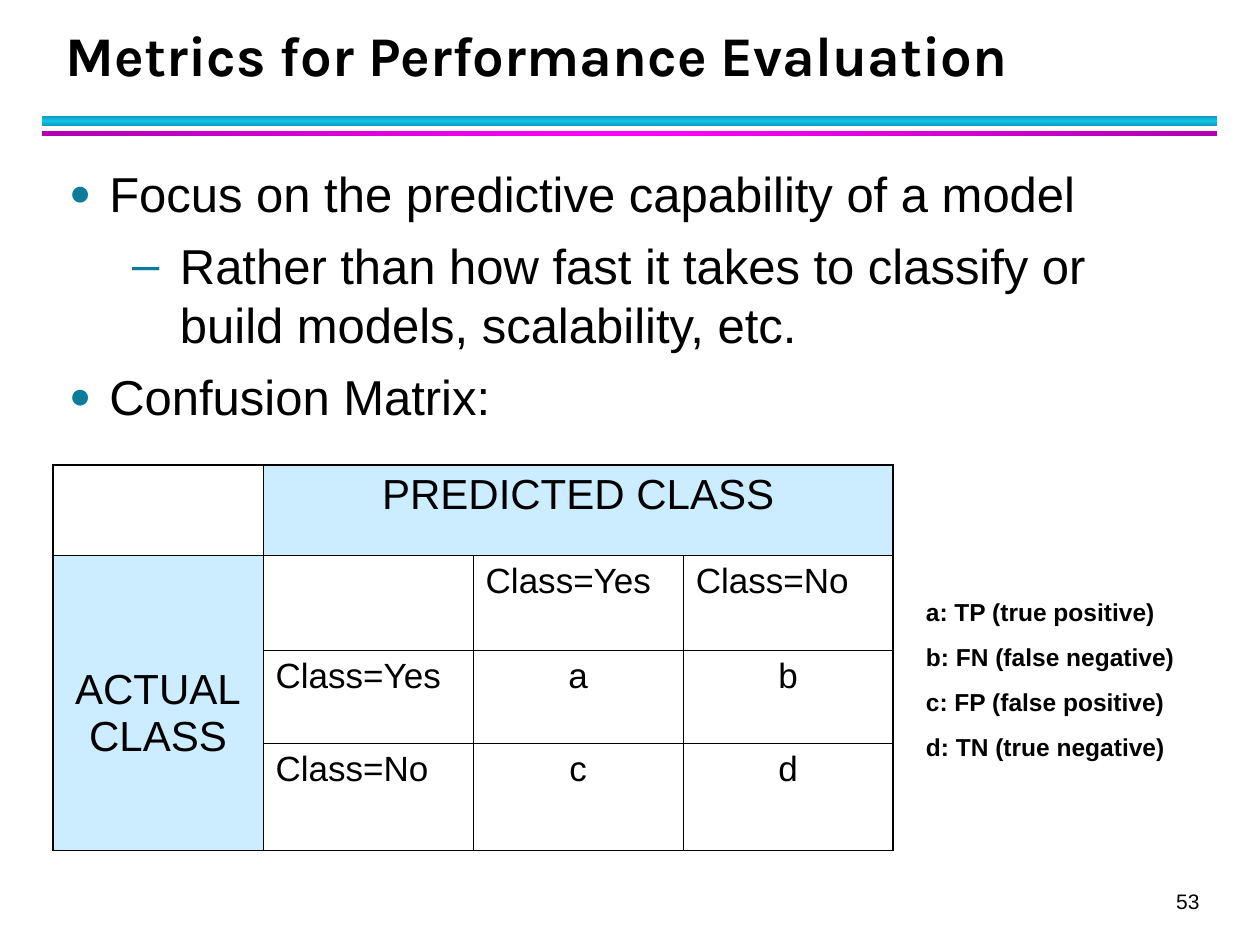
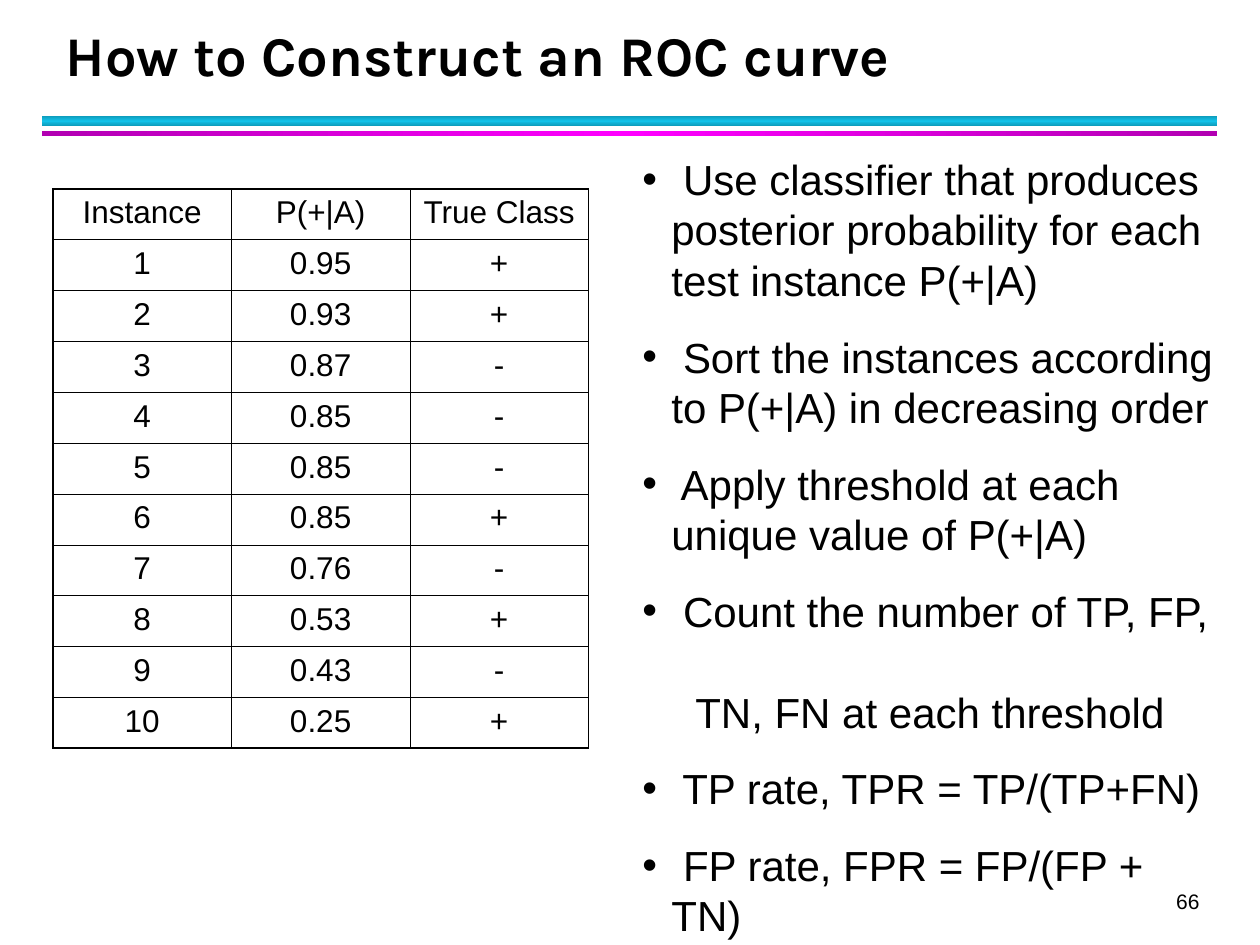
from copy import deepcopy

from lxml import etree
from pptx import Presentation
from pptx.dml.color import RGBColor
from pptx.enum import shapes, text
from pptx.oxml import ns
from pptx.util import Inches, Pt

BLACK, TEAL, PALE_BLUE = "000000", "0C7B9C", "CCECFF"
BANDS = [
    ((0.33, 0.92, 9.33, 0.08), ("0E9BBA", "12C2E9"), 90),
    ((0.33, 1.04, 9.33, 0.04), ("B200B2", "FF00FF"), 0),
]
LEFT, CENTER, RIGHT = text.PP_ALIGN.LEFT, text.PP_ALIGN.CENTER, text.PP_ALIGN.RIGHT
OUTER_LINE, INNER_LINE = 1.08, 0.45

DISC = {"char": "●", "color": TEAL, "size": 75, "left": 0.32, "hang": 0.32}
DASH = {"char": "–", "color": TEAL, "size": 100, "left": 0.88, "hang": 0.38}
DOT = {"char": "•", "color": BLACK, "size": 100, "left": 0.23, "hang": 0.23}
CONTINUED = {"left": 0.42, "hang": 0}

FOCUS_POINTS = [
    ("Focus on the predictive capability of a model", DISC),
    ("Rather than how fast it takes to classify or build models, scalability, etc.", DASH),
    ("Confusion Matrix:", DISC),
]
CONFUSION = [
    ["", "PREDICTED CLASS", "", ""],
    ["ACTUAL\vCLASS", "", "Class=Yes", "Class=No"],
    ["", "Class=Yes", "a", "b"],
    ["", "Class=No", "c", "d"],
]
LEGEND = [
    "a: TP (true positive)",
    "b: FN (false negative)",
    "c: FP (false positive)",
    "d: TN (true negative)",
]
PROBABILITIES = ["0.95", "0.93", "0.87", "0.85", "0.85", "0.85", "0.76", "0.53", "0.43", "0.25"]
TRUE_CLASSES = "++---+-+-+"
ROC_STEPS = [
    (" Use classifier that produces posterior probability for each test instance P(+|A)", DOT),
    (" Sort the instances according to P(+|A) in decreasing order", DOT),
    (" Apply threshold at each unique value of P(+|A)", DOT),
    (" Count the number of TP, FP,", DOT),
    ("TN, FN at each threshold", CONTINUED),
    (" TP rate, TPR = TP/(TP+FN)", DOT),
    (" FP rate, FPR = FP/(FP + TN)", DOT),
]


def rgb(color):
    """Turn a hex string into a colour."""
    return RGBColor.from_string(color)


def apply(target, values):
    """Set each attribute named in a dict of format values."""
    for name, value in values.items():
        setattr(target, name, value)


def add_element(parent, tag, **attributes):
    """Append a drawing element and return it."""
    return etree.SubElement(parent, ns.qn(tag), attributes)


def style_font(font, size, bold=False, name="Arial"):
    """Give a font its face, size and black colour."""
    apply(font, {"name": name, "size": Pt(size), "bold": bold})
    font.color.rgb = rgb(BLACK)


def set_bullet(paragraph, bullet):
    """Indent a paragraph and give it its bullet character, if any."""
    properties = paragraph._p.get_or_add_pPr()
    properties.set("marL", str(Inches(bullet["left"])))
    properties.set("indent", str(-Inches(bullet["hang"])))
    if "char" not in bullet:
        add_element(properties, "a:buNone")
        return
    add_element(add_element(properties, "a:buClr"), "a:srgbClr", val=bullet["color"])
    add_element(properties, "a:buSzPct", val=str(bullet["size"] * 1000))
    add_element(properties, "a:buFont", typeface="Arial")
    add_element(properties, "a:buChar", char=bullet["char"])


def add_lines(slide, at, lines, size, before=0, after=0, bold=False):
    """Add a text box with one paragraph for each (wording, bullet) pair."""
    frame = slide.shapes.add_textbox(*map(Inches, at)).text_frame
    frame.word_wrap = True
    for index, (wording, bullet) in enumerate(lines):
        paragraph = frame.paragraphs[0] if index == 0 else frame.add_paragraph()
        paragraph.text = wording
        if bullet:
            set_bullet(paragraph, bullet)
        gap = 29 if bullet is CONTINUED else before
        apply(paragraph, {
            "line_spacing": Pt(1.2 * size),
            "space_before": Pt(gap if index else 0),
            "space_after": Pt(after),
        })
        style_font(paragraph.font, size, bold)
    return frame


def add_band(slide, at, colors, angle):
    """Add a band that shades from the first colour to the second and back."""
    band = slide.shapes.add_shape(shapes.MSO_SHAPE.RECTANGLE, *map(Inches, at))
    band.shadow.inherit = False
    band.line.fill.background()
    band.fill.gradient()
    band.fill.gradient_angle = angle
    for stop, color, position in zip(band.fill.gradient_stops, colors, (0, 0.5)):
        stop.color.rgb = rgb(color)
        stop.position = position
    stops = band._element.spPr.find(".//" + ns.qn("a:gsLst"))
    last_stop = deepcopy(stops[0])
    last_stop.set("pos", "100000")
    stops.append(last_stop)


def add_titled_slide(deck, heading, number):
    """Add a slide with its bands, title and page number."""
    slide = deck.slides.add_slide(deck.slide_layouts[5])
    for band in BANDS:
        add_band(slide, *band)
    title = slide.shapes.title
    apply(title, dict(zip(("left", "top", "width", "height"),
                          map(Inches, (0.42, 0.17, 9.06, 0.58)))))
    title.text = heading
    apply(title.text_frame, {
        "vertical_anchor": text.MSO_ANCHOR.BOTTOM,
        "auto_size": text.MSO_AUTO_SIZE.NONE,
        "word_wrap": True,
    })
    paragraph = title.text_frame.paragraphs[0]
    apply(paragraph, {"alignment": LEFT, "line_spacing": Pt(36)})
    style_font(paragraph.font, 32, True, "Karla")

    footer = add_lines(slide, (0.42, 6.97, 9.1, 0.28), [(str(number), None)], 12)
    apply(footer, {
        "margin_left": 0, "margin_top": 0, "margin_right": 0, "margin_bottom": 0,
        "vertical_anchor": text.MSO_ANCHOR.BOTTOM,
    })
    apply(footer.paragraphs[0], {"alignment": RIGHT, "line_spacing": Pt(20)})
    return slide


def set_borders(cell, outer_sides):
    """Draw the four borders of a cell, heavier on the table's outer sides."""
    properties = cell._tc.get_or_add_tcPr()
    for index, side in enumerate("LRTB"):
        width = OUTER_LINE if side in outer_sides else INNER_LINE
        line = etree.Element(ns.qn("a:ln" + side), w=str(Pt(width)))
        add_element(add_element(line, "a:solidFill"), "a:srgbClr", val=BLACK)
        properties.insert(index, line)


def fill_cell(cell, wording, size, alignment, color=None):
    """Write a cell's wording and set its fill."""
    cell.text = wording
    if color:
        cell.fill.solid()
        cell.fill.fore_color.rgb = rgb(color)
    else:
        cell.fill.background()
    paragraph = cell.text_frame.paragraphs[0]
    paragraph.alignment = alignment
    style_font(paragraph.font, size)


def add_grid(slide, at, rows, row_heights, size, merges=()):
    """Add a bordered table with equal columns and centred wording."""
    grid = slide.shapes.add_table(len(rows), len(rows[0]), *map(Inches, at)).table
    apply(grid, {"first_row": False, "horz_banding": False})
    for column in grid.columns:
        column.width = Inches(at[2] / len(rows[0]))
    for row, height in zip(grid.rows, row_heights):
        row.height = Inches(height)
    for first, last in merges:
        grid.cell(*first).merge(grid.cell(*last))
    for r, row in enumerate(rows):
        for c, wording in enumerate(row):
            cell = grid.cell(r, c)
            fill_cell(cell, wording, size, CENTER)
            edges = {
                "L": c == 0,
                "R": c + cell.span_width == len(row),
                "T": r == 0,
                "B": r + cell.span_height == len(rows),
            }
            set_borders(cell, [side for side, outer in edges.items() if outer])
    return grid


def build_metrics(deck):
    """Build the slide on metrics and the confusion matrix."""
    slide = add_titled_slide(deck, "Metrics for Performance Evaluation", 53)
    add_lines(slide, (0.45, 1.25, 9.1, 2.3), FOCUS_POINTS, 28, 3.5, 4)
    matrix = add_grid(slide, (0.42, 3.69, 6.67, 3.06), CONFUSION,
                      (0.72, 0.75, 0.74, 0.85), 20,
                      [((0, 1), (0, 3)), ((1, 0), (3, 0))])
    for r, c in ((0, 1), (1, 0)):
        fill_cell(matrix.cell(r, c), CONFUSION[r][c], 24, CENTER, PALE_BLUE)
    matrix.cell(1, 0).margin_top = Inches(0.88)
    for r, c in ((1, 2), (1, 3), (2, 1), (3, 1)):
        matrix.cell(r, c).text_frame.paragraphs[0].alignment = LEFT
    add_lines(slide, (7.25, 4.69, 2.42, 1.4), [(entry, None) for entry in LEGEND],
              14, 8.8, bold=True)


def build_roc(deck):
    """Build the slide on constructing an ROC curve."""
    slide = add_titled_slide(deck, "How to Construct an ROC curve", 66)
    instances = [
        [str(number), probability, true_class]
        for number, (probability, true_class)
        in enumerate(zip(PROBABILITIES, TRUE_CLASSES), 1)
    ]
    rows = [["Instance", "P(+|A)", "True Class"]] + instances
    add_grid(slide, (0.42, 1.5, 4.25, 4.44), rows, [4.44 / len(rows)] * len(rows), 18)
    add_lines(slide, (5, 1.17, 4.75, 5.94), ROC_STEPS, 24, 15)


def main():
    """Build both slides and save the deck."""
    deck = Presentation()
    apply(deck, {"slide_width": Inches(10), "slide_height": Inches(7.5)})
    build_metrics(deck)
    build_roc(deck)
    deck.save("out.pptx")


if __name__ == "__main__":
    main()
